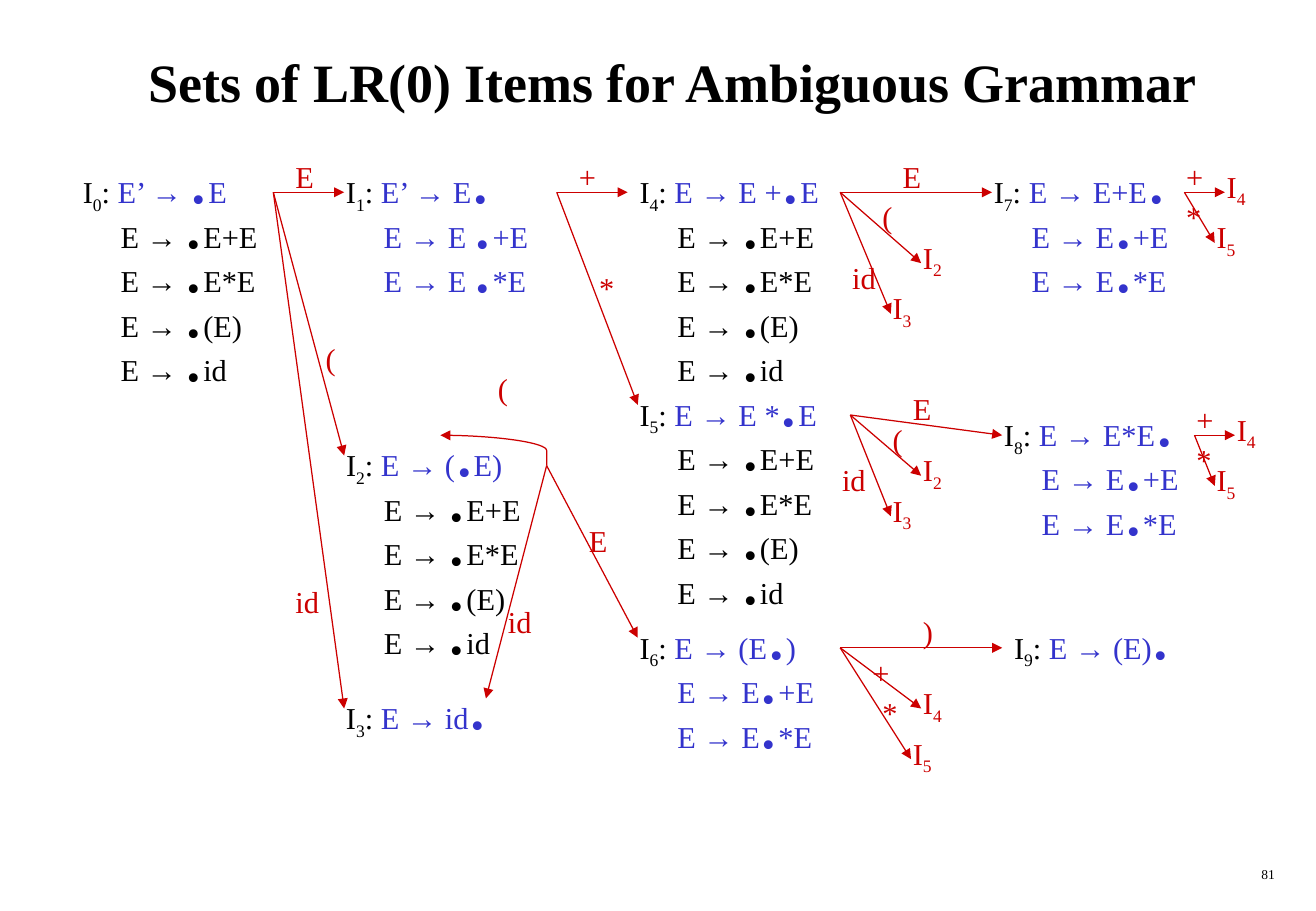
"""Build a slide with the LR(0) item sets of an ambiguous grammar."""
from lxml.etree import SubElement
from pptx import Presentation
from pptx.dml.color import RGBColor
from pptx.enum.shapes import MSO_CONNECTOR as LINK
from pptx.enum.text import MSO_ANCHOR as ANCHOR, PP_ALIGN as ALIGN
from pptx.oxml.ns import qn
from pptx.util import Cm, Pt

TITLE = "Sets of LR(0) Items for Ambiguous Grammar"
PAGE = "81"
FONT = "Times New Roman"
BLACK, BLUE, RED = "000000", "3333CC", "CC0000"
GRID = 2.54 / 12

CLOSURE = ["E → .E+E", "E → .E*E", "E → .(E)", "E → .id"]
SPACED = ["E → E .+E", "E → E .*E"]
TIGHT = ["E → E.+E", "E → E.*E"]

# state, left, top, width, kernel items, closure items
STATES = [
    ("I0", 7, 16, 21, ["E’ → .E"], CLOSURE),
    ("I1", 33, 16, 23, ["E’ → E.", *SPACED], []),
    ("I2", 33, 43, 21, ["E → (.E)"], CLOSURE),
    ("I3", 33, 68, 17, ["E → id."], []),
    ("I4", 62, 16, 23, ["E → E +.E"], CLOSURE),
    ("I5", 62, 38, 23, ["E → E *.E"], CLOSURE),
    ("I6", 62, 61, 23, ["E → (E.)", *TIGHT], []),
    ("I7", 97, 16, 23, ["E → E+E.", *TIGHT], []),
    ("I8", 98, 40, 23, ["E → E*E.", *TIGHT], []),
    ("I9", 99, 61, 19, ["E → (E)."], []),
]
ARROWS = {
    (27, 19): [(34, 19), (34, 45), (34, 70)],
    (55, 19): [(62, 19), (63, 40)],
    (54, 46): [(63, 63), (48, 69)],
    (83, 19): [(98, 19), (91, 26), (88, 31)],
    (84, 41): [(99, 43), (91, 47), (88, 51)],
    (83, 64): [(99, 64), (91, 70), (90, 75)],
    (117, 19): [(121, 19), (120, 24)],
    (118, 43): [(122, 43), (120, 48)],
}
SELF_LOOP = (54, 46), (43.5, 43)
SYMBOLS = {
    "E": (0.89, [(89, 38), (88, 15), (57, 51), (28, 15)]),
    "+": (0.86, [(116, 15), (117, 39), (85, 64), (56, 15)]),
    "*": (0.84, [(58, 26), (117, 43), (116, 19), (86, 68)]),
    "(": (0.71, [(86, 19), (87, 41), (48, 36), (31, 33)]),
    ")": (0.71, [(90, 60)]),
    "id": (1.02, [(83, 25), (82, 45), (28, 57), (49, 59)]),
}
TARGETS = {
    "I2": [(90, 44), (90, 23)],
    "I3": [(87, 28), (87, 48)],
    "I4": [(90, 67), (121, 40), (120, 16)],
    "I5": [(119, 21), (119, 45), (89, 72)],
}


def grid(steps):
    return Cm(steps * GRID)


def colour(value):
    return RGBColor.from_string(value)


def frame(left, top, width, height, anchor=ANCHOR.TOP):
    text_frame = slide.shapes.add_textbox(grid(left), grid(top), width, height).text_frame
    text_frame.word_wrap = True
    text_frame.vertical_anchor = anchor
    return text_frame


def write(paragraph, text, size=18, ink=BLACK, bold=False, baseline=None):
    run = paragraph.add_run()
    run.text = text
    font = run.font
    font.name, font.size, font.bold = FONT, Pt(size), bold
    font.color.rgb = colour(ink)
    if baseline:
        font._element.set("baseline", str(baseline))


def write_state_name(paragraph, name, ink):
    write(paragraph, name[0], ink=ink)
    write(paragraph, name[1:], ink=ink, baseline=-25000)


def write_item(paragraph, item, ink):
    before, dot, after = item.partition(".")
    for text, size in ((before, 18), (dot, 44), (after, 18)):
        if text:
            write(paragraph, text, size=size, ink=ink)


def add_state(name, left, top, width, kernel, closure):
    items = [(item, BLUE) for item in kernel] + [(item, BLACK) for item in closure]
    body = frame(left, top, grid(width), Cm(0.25 + 0.78 * len(items)))
    for row, (item, ink) in enumerate(items):
        paragraph = body.add_paragraph() if row else body.paragraphs[0]
        paragraph.line_spacing = 0.5
        margin, indent = (0.79, 0) if row else (1.27, -1.27)
        properties = paragraph._p.get_or_add_pPr()
        properties.set("marL", str(Cm(margin)))
        properties.set("indent", str(Cm(indent)))
        if not row:
            write_state_name(paragraph, name, BLACK)
            write(paragraph, ": ")
        write_item(paragraph, item, ink)


def add_arrow(start, end, kind=LINK.STRAIGHT):
    arrow = slide.shapes.add_connector(kind, *map(grid, start + end))
    arrow.line.color.rgb = colour(RED)
    arrow.line.width = Pt(0.75)
    SubElement(arrow.line._get_or_add_ln(), qn("a:tailEnd"), type="triangle")
    SubElement(arrow._element.spPr, qn("a:effectLst"))
    return arrow


deck = Presentation()
deck.slide_width, deck.slide_height = grid(130), grid(90)
slide = deck.slides.add_slide(deck.slide_layouts[6])

page = frame(100, 85, Cm(5.74), Cm(0.64)).paragraphs[0]
page.alignment = ALIGN.RIGHT
write(page, PAGE, size=8)
title = frame(5, 2, grid(123), grid(12), anchor=ANCHOR.MIDDLE).paragraphs[0]
title.alignment = ALIGN.CENTER
write(title, TITLE, size=32, bold=True)

for state in STATES:
    add_state(*state)

for source, ends in ARROWS.items():
    for end in ends:
        add_arrow(source, end)
loop = add_arrow(*SELF_LOOP, kind=LINK.CURVE)
bend = loop._element.spPr.find(qn("a:prstGeom")).get_or_add_avLst()
SubElement(bend, qn("a:gd"), name="adj1", fmla="val 0")

for symbol, (width, spots) in SYMBOLS.items():
    for left, top in spots:
        write(frame(left, top, Cm(width), Cm(1.02)).paragraphs[0], symbol, ink=RED)
for target, spots in TARGETS.items():
    for left, top in spots:
        write_state_name(frame(left, top, Cm(0.94), Cm(1.02)).paragraphs[0], target, RED)

deck.save("out.pptx")
